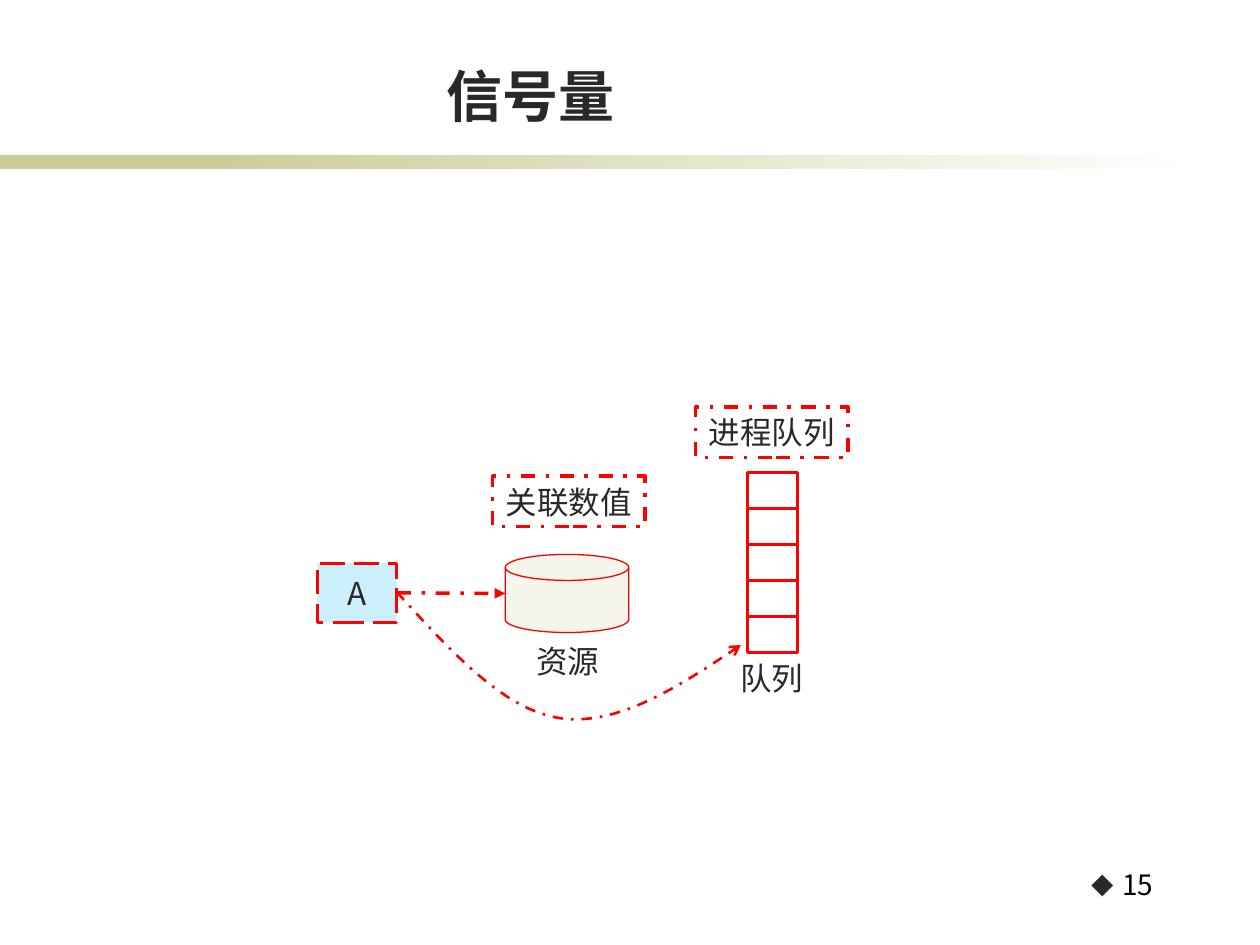
import pptx
import pptx.util
import pptx.dml.color
import pptx.enum.dml
import pptx.enum.shapes
import pptx.enum.text
import pptx.oxml
import pptx.oxml.ns
from pptx.util import Inches

RGBColor = pptx.dml.color.RGBColor
SHAPE = pptx.enum.shapes.MSO_SHAPE
DASH = pptx.enum.dml.MSO_LINE
ALIGN = pptx.enum.text.PP_ALIGN
ANCHOR = pptx.enum.text.MSO_ANCHOR
qn = pptx.oxml.ns.qn

RED = RGBColor(0xFF, 0, 0)
INK = RGBColor(0x29, 0x29, 0x29)
BLACK = RGBColor(0, 0, 0)
WHITE = RGBColor(0xFF, 0xFF, 0xFF)
KHAKI = RGBColor(0xCC, 0xCC, 0x99)
CREAM = RGBColor(0xF5, 0xF5, 0xEB)
SKY = RGBColor(0xCC, 0xEF, 0xFC)
FONT = "Noto Sans CJK SC"

prs = pptx.Presentation()
prs.slide_width, prs.slide_height = Inches(10), Inches(7.5)
s = prs.slides.add_slide(prs.slide_layouts[6])


def add_box(kind, x, y, w, h, fill=None, width=None, dash=None):
    sp = s.shapes.add_shape(kind, Inches(x), Inches(y), Inches(w), Inches(h))
    sp.shadow.inherit = False
    if fill is None:
        sp.fill.background()
    else:
        sp.fill.solid()
        sp.fill.fore_color.rgb = fill
    if width is None:
        sp.line.fill.background()
    else:
        sp.line.color.rgb = RED
        sp.line.width = pptx.util.Pt(width)
        sp.line.dash_style = dash
    return sp


def write(sp, text, size=18, color=INK, align=ALIGN.CENTER, anchor=ANCHOR.TOP, wrap=False):
    tf = sp.text_frame
    tf.text = text
    tf.word_wrap = wrap
    tf.vertical_anchor = anchor
    p = tf.paragraphs[0]
    p.alignment = align
    r = p.runs[0]
    r.font.size = pptx.util.Pt(size)
    r.font.name = FONT
    r.font.color.rgb = color
    ea = pptx.oxml.parse_xml(f'<a:ea {pptx.oxml.ns.nsdecls("a")} typeface="{FONT}"/>')
    r.font._element.find(qn("a:latin")).addnext(ea)
    return p


# Header band: solid, then fading to white
add_box(SHAPE.RECTANGLE, 0, 1.23, 2.33, 0.11, KHAKI)
band = add_box(SHAPE.RECTANGLE, 1.58, 1.23, 7.92, 0.11, KHAKI)
band.fill.gradient()
band.fill.gradient_angle = 0
for stop, color, position in zip(band.fill.gradient_stops, (KHAKI, WHITE), (0, 1)):
    stop.color.rgb = color
    stop.position = position

# Title
title = s.shapes.add_textbox(Inches(1.14), Inches(0.44), Inches(6.14), Inches(0.63))
p = write(title, "信号量", 32, anchor=ANCHOR.BOTTOM, wrap=True)
p.runs[0].font.bold = True

# Page number with a diamond bullet, in a font that has the glyph
number = s.shapes.add_textbox(Inches(8.23), Inches(6.87), Inches(1.02), Inches(0.5))
p = write(number, "15", 16, BLACK, ALIGN.RIGHT, wrap=True)
p.line_spacing = 0.9
p.space_before = pptx.util.Pt(3.2)
pPr = p._p.get_or_add_pPr()
pPr.set("marL", str(Inches(0.24)))
pPr.set("indent", str(Inches(-0.24)))
for xml in (f'<a:buClr {{}}><a:srgbClr val="{INK}"/></a:buClr>',
            '<a:buSzPct {} val="80000"/>',
            f'<a:buFont {{}} typeface="{FONT}"/>',
            '<a:buChar {} char="◆"/>'):
    pPr.append(pptx.oxml.parse_xml(xml.format(pptx.oxml.ns.nsdecls("a"))))

# Resource and process A
add_box(SHAPE.FLOWCHART_MAGNETIC_DISK, 4.01, 4.4, 0.98, 0.62, CREAM, 0.75)
process = add_box(SHAPE.RECTANGLE, 2.52, 4.47, 0.63, 0.47, SKY, 1.75, DASH.LONG_DASH)
write(process, "A", anchor=ANCHOR.MIDDLE)

# Arrow from A to the resource
arrow = s.shapes.add_connector(pptx.enum.shapes.MSO_CONNECTOR.STRAIGHT,
                               Inches(3.15), Inches(4.7), Inches(4.01), Inches(4.71))
arrow.begin_connect(process, 3)
arrow.line.color.rgb = RED
arrow.line.width = pptx.util.Pt(2)
arrow.line.dash_style = DASH.DASH_DOT

# Queue of five equal cells
CELLS, QUEUE_TOP, QUEUE_HEIGHT = 5, 3.75, 1.43
step = QUEUE_HEIGHT / CELLS
for i in range(CELLS):
    add_box(SHAPE.RECTANGLE, 5.93, QUEUE_TOP + i * step, 0.4, step, WHITE, 1.75)

# Captions under the resource and the queue
for text, x, y in (("资源", 4.15, 5.05), ("队列", 5.77, 5.18)):
    caption = s.shapes.add_textbox(Inches(x), Inches(y), Inches(0.71), Inches(0.4))
    write(caption, text)

# Dash-dotted labels
for text, x, y in (("进程队列", 5.52, 3.23), ("关联数值", 3.91, 3.78)):
    write(add_box(SHAPE.RECTANGLE, x, y, 1.21, 0.4, None, 2, DASH.DASH_DOT), text,
          anchor=ANCHOR.MIDDLE)

# Curved arrow from A to the queue, traced along two Bezier segments
SEGMENTS = (((3.15, 4.7), (3.57, 5.16), (3.99, 5.63), (4.44, 5.7)),
            ((4.44, 5.7), (4.9, 5.77), (5.39, 5.45), (5.88, 5.12)))
STEPS = 16
points = []
for segment in SEGMENTS:
    for i in range(1, STEPS + 1):
        t = i / STEPS
        weights = ((1 - t) ** 3, 3 * t * (1 - t) ** 2, 3 * t ** 2 * (1 - t), t ** 3)
        points.append(tuple(Inches(sum(w * pt[axis] for w, pt in zip(weights, segment)))
                            for axis in (0, 1)))
builder = s.shapes.build_freeform(Inches(3.15), Inches(4.7))
builder.add_line_segments(points, close=False)
curve = builder.convert_to_shape()
curve.shadow.inherit = False
curve.fill.background()
curve.line.color.rgb = RED
curve.line.width = pptx.util.Pt(1.5)
curve.line.dash_style = DASH.DASH_DOT

# Arrowheads; the connector also loses its shadow
for sp, head in ((arrow, "triangle"), (curve, "arrow")):
    ln = sp.line._get_or_add_ln()
    ln.append(pptx.oxml.parse_xml(
        f'<a:tailEnd {pptx.oxml.ns.nsdecls("a")} type="{head}"/>'))
arrow._element.spPr.append(pptx.oxml.parse_xml(
    f'<a:effectLst {pptx.oxml.ns.nsdecls("a")}/>'))

prs.save("out.pptx")
